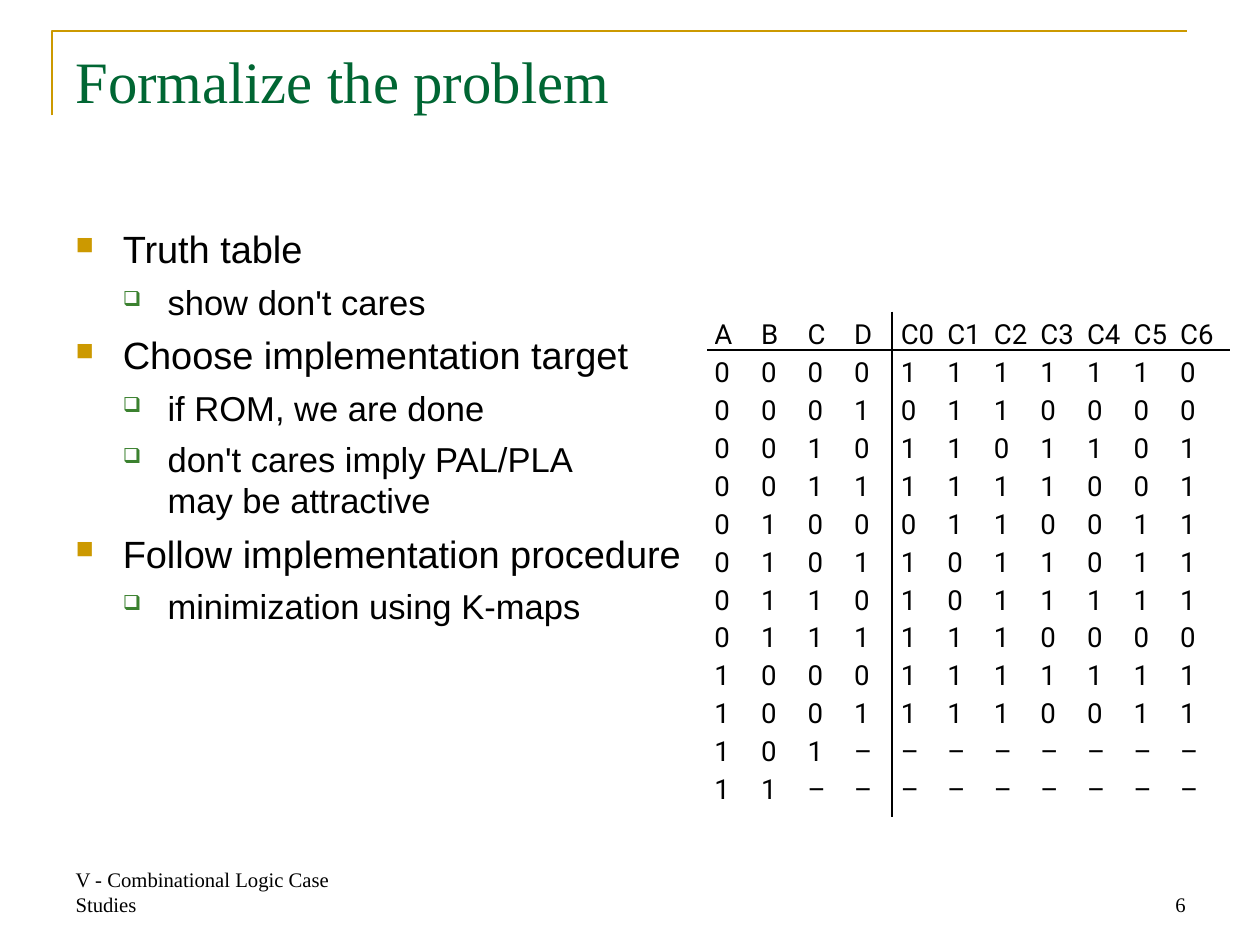
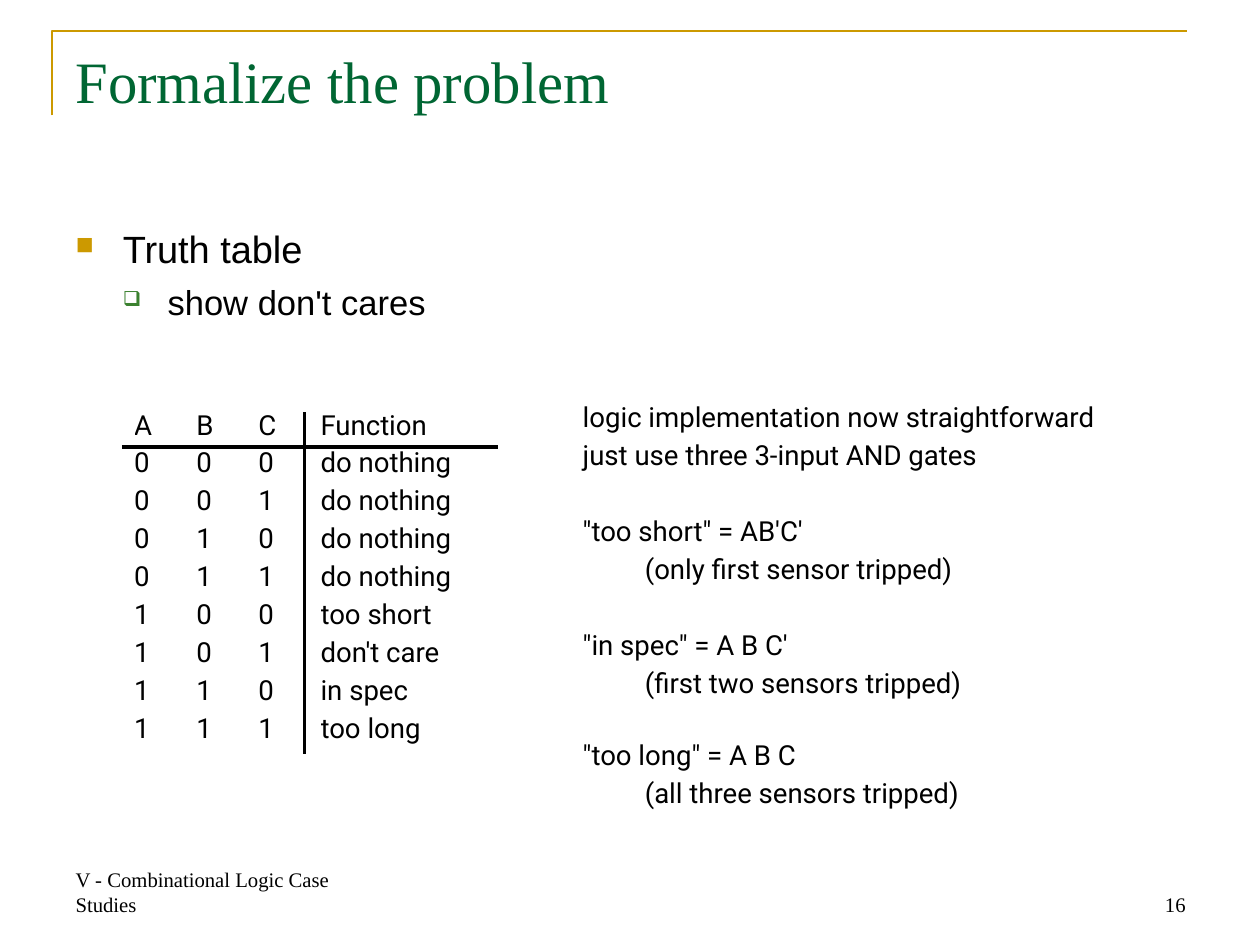
from dataclasses import dataclass

from lxml.etree import SubElement as Sub
from pptx import Presentation
from pptx.dml.color import RGBColor as Rgb
from pptx.enum.shapes import MSO_CONNECTOR as Link
from pptx.enum.text import MSO_ANCHOR as Anchor, PP_ALIGN as Align
from pptx.oxml.ns import qn
from pptx.util import Inches, Pt


@dataclass(frozen=True)
class Theme:
    ink: str = "000000"
    green: str = "006633"
    gold: str = "CC9900"
    leaf: str = "3B812F"
    serif: str = "Times New Roman"
    sans: str = "Arial"
    grid: str = "Roboto"
    title: int = 34
    body: tuple = (22, 20)
    small: int = 12
    cell: int = 16
    pitch: int = 22


theme = Theme()

# Bullet levels: left edge, hanging indent, mark, colour, percent
levels = [(0.38, 0.38, "■", theme.gold, 65), (0.74, 0.36, "❑", theme.leaf, 60)]

# Slide content
pages = [
    dict(
        num="6",
        points=[
            (0, "Truth table"),
            (1, "show don't cares"),
            (0, "Choose implementation target"),
            (1, "if ROM, we are done"),
            (1, "don't cares imply PAL/PLA\vmay be attractive"),
            (0, "Follow implementation procedure"),
            (1, "minimization using K-maps"),
        ],
        rows=[
            [*"ABCD", *(f"C{i}" for i in range(7))],
            *map(list, [
                "00001111110", "00010110000", "00101101101", "00111111001",
                "01000110011", "01011011011", "01101011111", "01111110000",
                "10001111111", "10011110011", "101––––––––", "11–––––––––",
            ]),
        ],
        origin=(5.75, 2.52),
        widths=[0.375] * 11,
        rules=[(5.69, 2.82, 9.9, 2.82), (7.18, 2.51, 7.18, 6.58)],
        weight=1,
    ),
    dict(
        num="16",
        points=[(0, "Truth table"), (1, "show don't cares")],
        rows=[
            [*"ABC", "Function"],
            [*"000", "do nothing"],
            [*"001", "do nothing"],
            [*"010", "do nothing"],
            [*"011", "do nothing"],
            [*"100", "too short"],
            [*"101", "don't care"],
            [*"110", "in spec"],
            [*"111", "too long"],
        ],
        origin=(1.08, 3.25),
        widths=[0.5] * 3 + [1.5],
        rules=[(0.98, 3.6, 4.01, 3.6), (2.45, 3.32, 2.45, 6.07)],
        weight=2,
    ),
]

# Side notes: indent, space before, text
notes = [
    (0, 0, "logic implementation now straightforward"),
    (0, 0, "just use three 3-input AND gates"),
    (0, 22, "\"too short\" = AB'C'"),
    (0.5, 0, "(only first sensor tripped)"),
    (0, 22, "\"in spec\" = A B C'"),
    (0.5, 0, "(first two sensors tripped)"),
    (0, 20, "\"too long\" = A B C"),
    (0.5, 0, "(all three sensors tripped)"),
]


def write(para, text, face, size, color=theme.ink):
    para.text = text
    para.font.name = face
    para.font.size = Pt(size)
    para.font.color.rgb = Rgb.from_string(color)


def frame(slide, at, pad=(0.1, 0.05), anchor=Anchor.TOP):
    text = slide.shapes.add_textbox(*map(Inches, at)).text_frame
    text.word_wrap = True
    text.vertical_anchor = anchor
    text.margin_left = text.margin_right = Inches(pad[0])
    text.margin_top = text.margin_bottom = Inches(pad[1])
    return text


deck = Presentation()
deck.slide_width, deck.slide_height = Inches(10.14), Inches(7.6)

for page in pages:
    slide = deck.slides.add_slide(deck.slide_layouts[6])

    # Corner rule
    pen = slide.shapes.build_freeform(Inches(0.42), Inches(0.93))
    pen.add_line_segments(
        [(Inches(0.42), Inches(0.25)), (Inches(9.55), Inches(0.25))], close=False)
    edge = pen.convert_to_shape()
    edge.shadow.inherit = False
    edge.fill.background()
    edge.line.color.rgb = Rgb.from_string(theme.gold)
    edge.line.width = Pt(1.5)

    # Title and footer
    title = frame(slide, (0.51, 0.31, 9.12, 1.26))
    write(title.paragraphs[0], "Formalize the problem", theme.serif, theme.title, theme.green)
    for left, text, side in [
        (0.51, "V - Combinational Logic Case Studies", Align.LEFT),
        (7.27, page["num"], Align.RIGHT),
    ]:
        foot = frame(slide, (left, 6.92, 2.37, 0.51), anchor=Anchor.BOTTOM).paragraphs[0]
        foot.alignment = side
        write(foot, text, theme.serif, theme.small)

    # Bullets
    body = frame(slide, (0.51, 1.77, 9.12, 5.02))
    for i, (level, text) in enumerate(page["points"]):
        para = body.add_paragraph() if i else body.paragraphs[0]
        left, hang, mark, color, scale = levels[level]
        para.level = level
        if i:
            para.space_before = Pt(5.5)
        props = para._p.get_or_add_pPr()
        props.set("marL", str(Inches(left)))
        props.set("indent", str(-Inches(hang)))
        Sub(Sub(props, qn("a:buClr")), qn("a:srgbClr")).set("val", color)
        Sub(props, qn("a:buSzPct")).set("val", str(scale * 1000))
        Sub(props, qn("a:buChar")).set("char", mark)
        write(para, text, theme.sans, theme.body[level])

    # Truth table
    rows, widths = page["rows"], page["widths"]
    high = Inches(theme.pitch / 72)
    table = slide.shapes.add_table(
        len(rows), len(widths), *map(Inches, page["origin"]),
        Inches(sum(widths)), high * len(rows)).table
    table.first_row = table.horz_banding = False
    for col, width in zip(table.columns, widths):
        col.width = Inches(width)
    for line, row in zip(table.rows, rows):
        line.height = high
        for cell, text in zip(line.cells, row):
            cell.fill.background()
            cell.margin_left = cell.margin_right = 0
            cell.margin_top = cell.margin_bottom = 0
            cell.vertical_anchor = Anchor.BOTTOM
            write(cell.text_frame.paragraphs[0], text, theme.grid, theme.cell)

    # Table rules
    for ends in page["rules"]:
        rule = slide.shapes.add_connector(Link.STRAIGHT, *map(Inches, ends))
        rule.line.color.rgb = Rgb.from_string(theme.ink)
        rule.line.width = Pt(page["weight"])
        Sub(rule._element.spPr, qn("a:effectLst"))

# Notes beside the last table
side = frame(slide, (4.67, 3.15, 4.97, 3.78), pad=(0.02, 0.03))
for i, (left, gap, text) in enumerate(notes):
    para = side.add_paragraph() if i else side.paragraphs[0]
    para.line_spacing = Pt(theme.pitch)
    para.space_before = Pt(gap)
    para._p.get_or_add_pPr().set("marL", str(Inches(left)))
    write(para, text, theme.grid, theme.cell)

deck.save("out.pptx")
